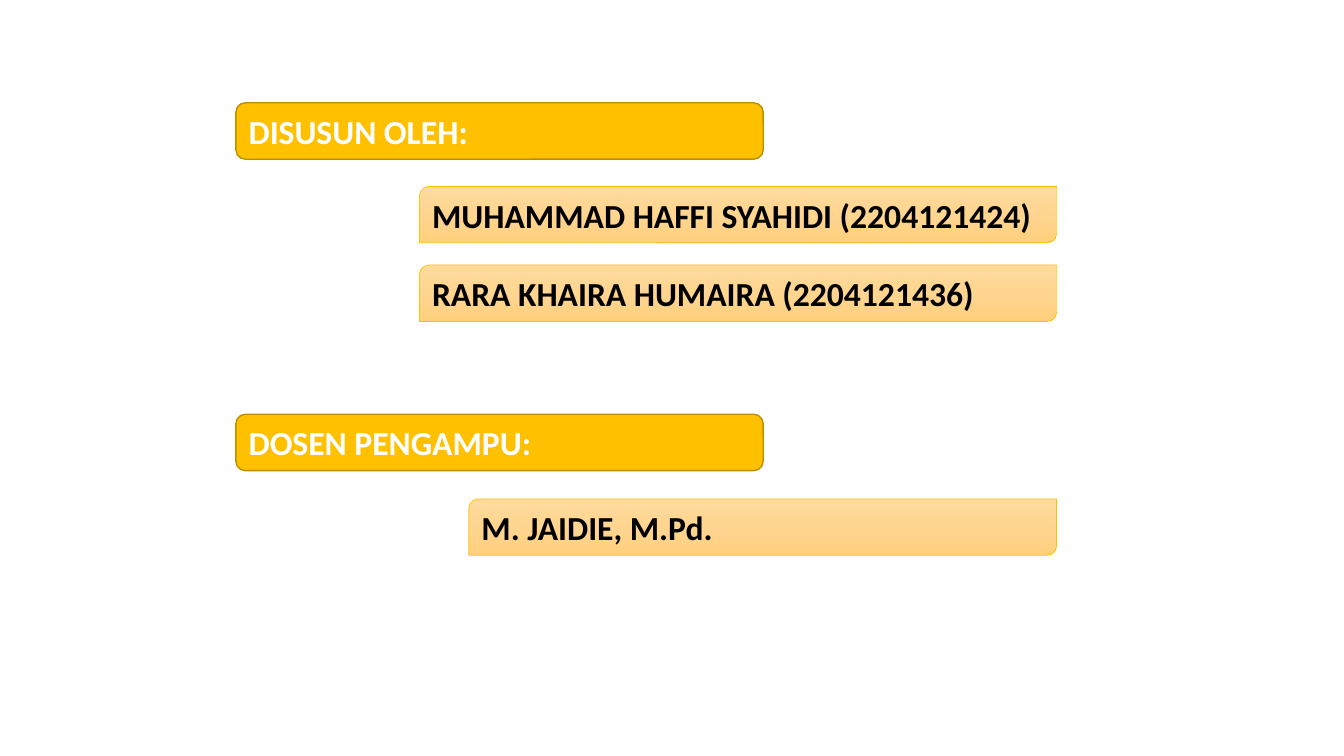
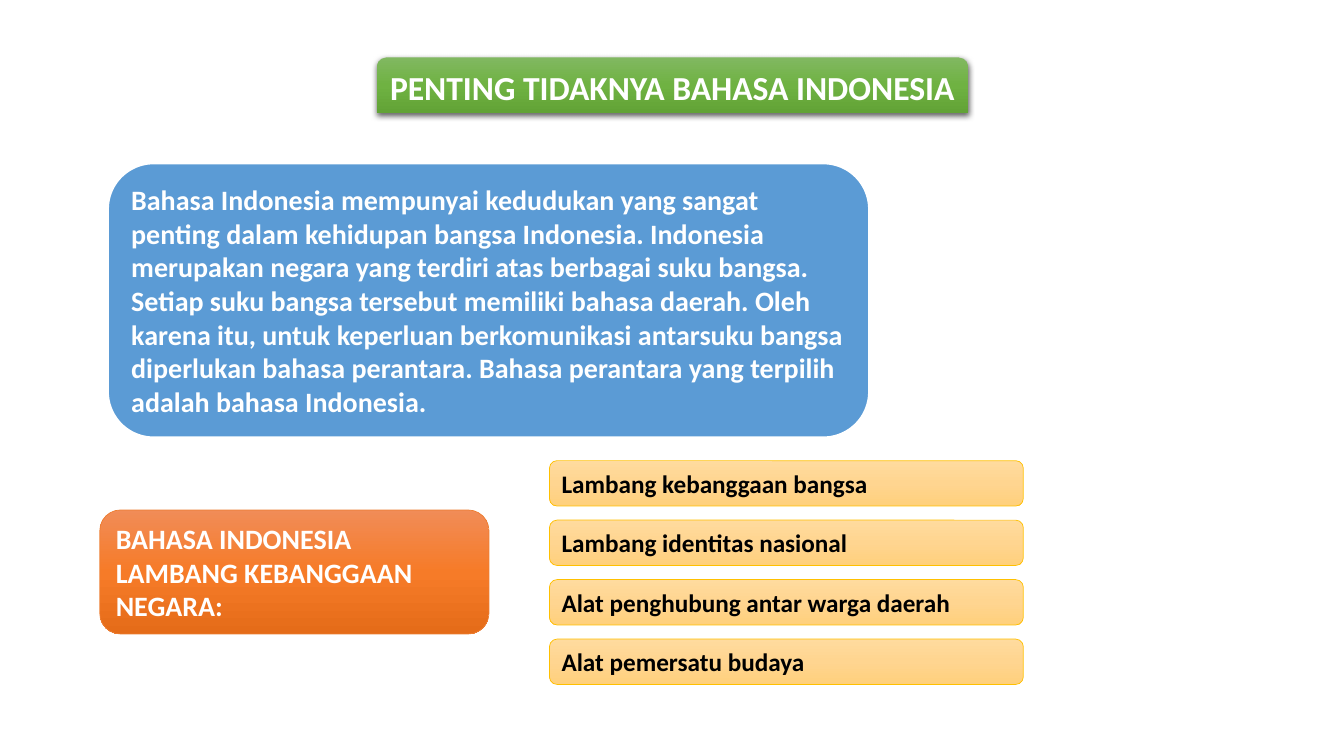
import copy

import lxml.etree
import pptx
import pptx.dml.color
import pptx.enum.shapes
import pptx.enum.text
import pptx.oxml.ns
import pptx.util

RGBColor = pptx.dml.color.RGBColor
Inches = pptx.util.Inches
Pt = pptx.util.Pt
SHAPE = pptx.enum.shapes.MSO_SHAPE
ALIGN = pptx.enum.text.PP_ALIGN
qn = pptx.oxml.ns.qn

WHITE = RGBColor(0xFF, 0xFF, 0xFF)
BLACK = RGBColor(0x00, 0x00, 0x00)
GOLD = RGBColor(0xFF, 0xC0, 0x00)
DARK_GOLD = RGBColor(0xBD, 0x8E, 0x00)
BLUE = RGBColor(0x5B, 0x9B, 0xD5)
ORANGE = RGBColor(0xED, 0x7D, 0x31)
PALE_GOLD_BLEND = (RGBColor(0xFF, 0xDB, 0x9E), RGBColor(0xFF, 0xD5, 0x90),
                   RGBColor(0xFF, 0xD0, 0x7C))
GREEN_BLEND = (RGBColor(0x81, 0xB8, 0x61), RGBColor(0x6F, 0xB2, 0x42),
               RGBColor(0x62, 0xA3, 0x36))
ORANGE_BLEND = (RGBColor(0xF1, 0x8C, 0x57), RGBColor(0xF6, 0x7B, 0x28),
                RGBColor(0xE5, 0x6C, 0x19))


class Deck:
    """Holds the shared style and the slide being filled."""

    font = "Calibri"

    def __init__(self):
        """Start a widescreen presentation."""
        self.presentation = pptx.Presentation()
        self.presentation.slide_width = Inches(13.33)
        self.presentation.slide_height = Inches(7.5)
        self.slide = None

    def new_slide(self):
        """Add a blank slide and make it current."""
        self.slide = self.presentation.slides.add_slide(
            self.presentation.slide_layouts[6])

    def blend(self, panel, colors):
        """Fill a panel from top to bottom through three colours."""
        panel.fill.gradient()
        panel.fill.gradient_angle = 270
        stop_list = panel._element.spPr.find(".//" + qn("a:gsLst"))
        stop_list.insert(1, copy.deepcopy(stop_list[0]))
        for stop, position, color in zip(panel.fill.gradient_stops, (0, 0.5, 1), colors):
            stop.position = position
            stop.color.rgb = color

    def panel(self, kind, box, text, size, fill, line=None, width=0.5,
              color=WHITE, align=ALIGN.LEFT):
        """Add a filled shape with bold text; a tuple of colours is a blend."""
        panel = self.slide.shapes.add_shape(kind, *(Inches(length) for length in box))
        panel.shadow.inherit = False
        if isinstance(fill, RGBColor):
            panel.fill.solid()
            panel.fill.fore_color.rgb = fill
        else:
            self.blend(panel, fill)
        if line is None:
            panel.line.fill.background()
        else:
            panel.line.color.rgb = line
            panel.line.width = Pt(width)
        frame = panel.text_frame
        frame.text = text
        frame.word_wrap = True
        frame.auto_size = pptx.enum.text.MSO_AUTO_SIZE.SHAPE_TO_FIT_TEXT
        paragraph = frame.paragraphs[0]
        paragraph.alignment = align
        font = paragraph.runs[0].font
        font.name, font.size, font.bold = self.font, Pt(size), True
        font.color.rgb = color
        return panel

    def title(self, box, text):
        """Add the green title band with a soft shadow below it."""
        band = self.panel(SHAPE.ROUND_2_SAME_RECTANGLE, box, text, 24,
                          GREEN_BLEND, align=ALIGN.CENTER)
        effects = band._element.spPr.find(qn("a:effectLst"))
        shadow = lxml.etree.SubElement(
            effects, qn("a:outerShdw"), blurRad=str(Pt(4.5)), dist=str(Pt(1.5)),
            dir="5400000", algn="ctr", rotWithShape="0")
        shade = lxml.etree.SubElement(shadow, qn("a:srgbClr"), val=str(BLACK))
        lxml.etree.SubElement(shade, qn("a:alpha"), val="63000")

    def heading(self, top, text):
        """Add a gold heading bar."""
        self.panel(SHAPE.ROUNDED_RECTANGLE, (2.34, top, 5.23, 0.56), text, 24,
                   GOLD, DARK_GOLD, 1)

    def pale_bar(self, kind, box, text, size):
        """Add a pale gold bar with black text."""
        self.panel(kind, box, text, size, PALE_GOLD_BLEND, GOLD, color=BLACK)

    def person(self, left, top, name):
        """Add a name bar that ends at the shared right edge."""
        self.pale_bar(SHAPE.ROUND_2_DIAG_RECTANGLE,
                      (left, top, 10.48 - left, 0.56), name, 24)


def build_credits(deck):
    """Build the slide with the authors and the lecturer."""
    deck.new_slide()
    deck.heading(1.02, "DISUSUN OLEH:")
    deck.person(4.16, 1.85, "MUHAMMAD HAFFI SYAHIDI (2204121424)")
    deck.person(4.16, 2.63, "RARA KHAIRA HUMAIRA (2204121436)")
    deck.heading(4.11, "DOSEN PENGAMPU:")
    deck.person(4.65, 4.95, "M. JAIDIE, M.Pd.")


def build_importance(deck):
    """Build the slide on the importance of the language."""
    deck.new_slide()
    deck.title((3.74, 0.57, 5.86, 0.55), "PENTING TIDAKNYA BAHASA INDONESIA")
    deck.panel(
        SHAPE.ROUNDED_RECTANGLE, (1.07, 1.62, 7.55, 2.72),
        "Bahasa Indonesia mempunyai kedudukan yang sangat penting dalam "
        "kehidupan bangsa Indonesia. Indonesia merupakan negara yang terdiri "
        "atas berbagai suku bangsa. Setiap suku bangsa tersebut memiliki bahasa "
        "daerah. Oleh karena itu, untuk keperluan berkomunikasi antarsuku bangsa "
        "diperlukan bahasa perantara. Bahasa perantara yang terpilih adalah "
        "bahasa Indonesia.", 20, BLUE, WHITE, 1.5)
    deck.panel(SHAPE.ROUNDED_RECTANGLE, (0.99, 5.06, 3.86, 1.23),
               "BAHASA INDONESIA LAMBANG KEBANGGAAN NEGARA:", 20,
               ORANGE_BLEND, ORANGE)
    roles = ("Lambang kebanggaan bangsa", "Lambang identitas nasional",
             "Alat penghubung antar warga daerah", "Alat pemersatu budaya")
    for row, role in enumerate(roles):
        deck.pale_bar(SHAPE.ROUNDED_RECTANGLE,
                      (5.45, 4.57 + 0.59 * row, 4.7, 0.45), role, 18)


def main():
    """Build both slides and save them."""
    deck = Deck()
    build_credits(deck)
    build_importance(deck)
    deck.presentation.save("out.pptx")


main()
